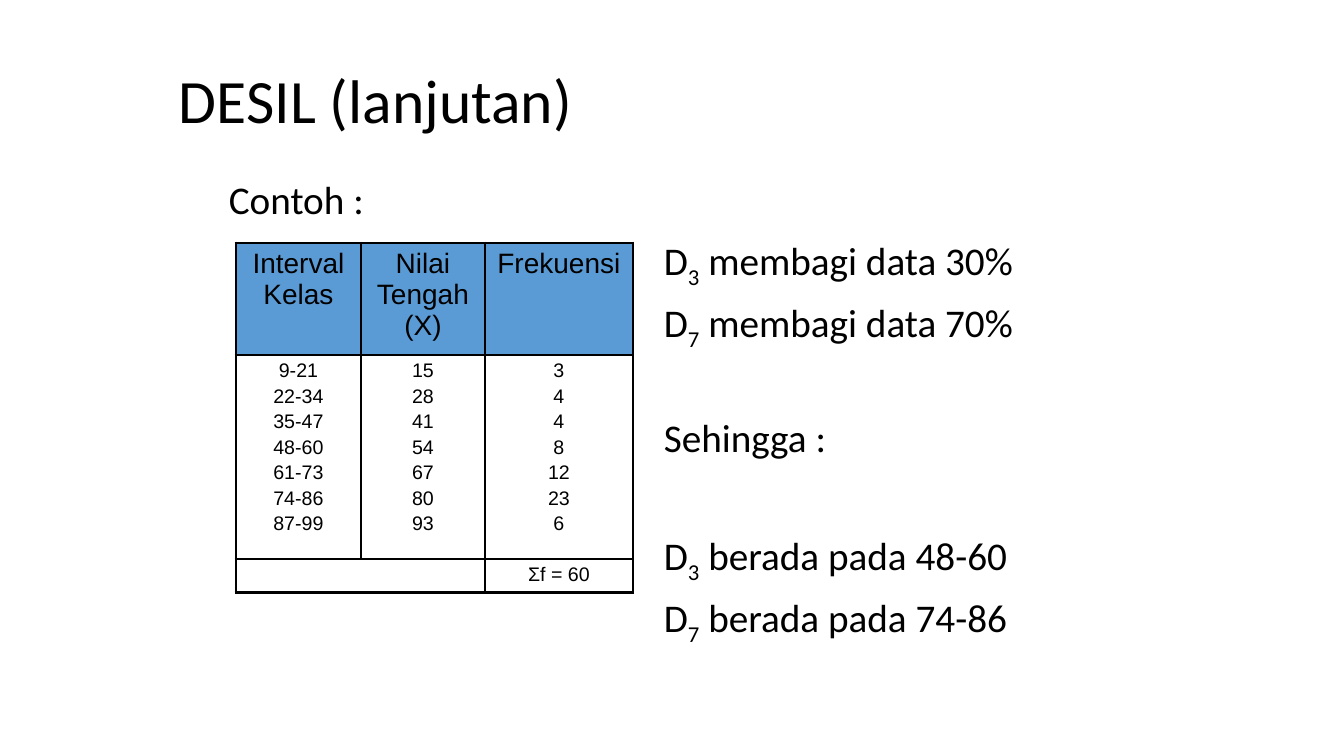
import pptx
import pptx.util
import pptx.dml.color
import pptx.enum.text
import pptx.oxml

EMU_PER_PX = 914400 / 100.8
COLORS = {"ink": "000000", "header": "5B9BD5"}
HEADINGS = ["Interval Kelas", "Nilai Tengah (X)", "Frekuensi"]
CLASSES = [
    ("9-21", 15, 3),
    ("22-34", 28, 4),
    ("35-47", 41, 4),
    ("48-60", 54, 8),
    ("61-73", 67, 12),
    ("74-86", 80, 23),
    ("87-99", 93, 6),
]
STATEMENTS = [
    (("D", "3", " membagi data 30%"), 10),
    (("D", "7", " membagi data 70%"), 10),
    (("Sehingga :",), 50.75),
    (("D", "3", " berada pada 48-60"), 50.75),
    (("D", "7", " berada pada 74-86"), 10),
]
COLUMN_WIDTHS = [125, 124, 148]
ROW_HEIGHTS = [112, 204, 33]
STATEMENT_INDENT = 435


def px(length):
    return pptx.util.Emu(round(length * EMU_PER_PX))


def rgb(name):
    return pptx.dml.color.RGBColor.from_string(COLORS[name])


def format_runs(para, size, font):
    for span in para.runs:
        span.font.size = pptx.util.Pt(size)
        span.font.name = font
        span.font.color.rgb = rgb("ink")


def add_box(page, left, top, width, height):
    box = page.shapes.add_textbox(px(left), px(top), px(width), px(height))
    box.text_frame.word_wrap = True
    return box.text_frame


def add_title(page, text):
    frame = add_box(page, 169, 23, 1145, 161)
    frame.vertical_anchor = pptx.enum.text.MSO_ANCHOR.MIDDLE
    frame.text = text
    para = frame.paragraphs[0]
    para.line_spacing = 0.9
    format_runs(para, 44, "Calibri")


def add_statement(frame, parts, space_before):
    para = frame.add_paragraph()
    para.line_spacing = 0.9
    para.space_before = pptx.util.Pt(space_before)
    para._p.get_or_add_pPr().set("marL", str(px(STATEMENT_INDENT)))
    for part in parts:
        para.add_run().text = part
    format_runs(para, 28, "Calibri")
    if len(parts) > 1:
        para.runs[1].font._element.set("baseline", "-25000")


def add_body(page):
    frame = add_box(page, 219, 176, 906, 499)
    frame.text = "Contoh :"
    frame.paragraphs[0].line_spacing = 0.9
    format_runs(frame.paragraphs[0], 28, "Calibri")
    for parts, space_before in STATEMENTS:
        add_statement(frame, parts, space_before)


def set_borders(cell, row, column):
    last_row, last_column = len(ROW_HEIGHTS) - 1, len(COLUMN_WIDTHS) - 1
    outer_edges = {
        "L": column == 0,
        "R": column == last_column,
        "T": row == 0,
        "B": row == last_row,
    }
    properties = cell._tc.get_or_add_tcPr()
    for position, (side, is_outer) in enumerate(outer_edges.items()):
        width = pptx.util.Pt(2.25 if is_outer else 1)
        line = pptx.oxml.parse_xml(
            '<a:ln%s xmlns:a="http://schemas.openxmlformats.org/drawingml/2006/main" w="%d">'
            '<a:solidFill><a:srgbClr val="%s"/></a:solidFill></a:ln%s>'
            % (side, width, COLORS["ink"], side)
        )
        properties.insert(position, line)


def fill_cell(cell, lines, size):
    cell.text = "\n".join(lines)
    for index, para in enumerate(cell.text_frame.paragraphs):
        para.alignment = pptx.enum.text.PP_ALIGN.CENTER
        if index:
            para.space_before = pptx.util.Pt(2.5)
        format_runs(para, size, "Arial")
        if not para.runs:
            para._p.get_or_add_endParaRPr().set("sz", str(size * 100))


def add_frequency_table(page):
    frame = page.shapes.add_table(
        len(ROW_HEIGHTS), len(COLUMN_WIDTHS), px(236), px(243),
        px(sum(COLUMN_WIDTHS)), px(sum(ROW_HEIGHTS)),
    )
    table = frame.table
    table.first_row = False
    table.horz_banding = False
    for column, width in zip(table.columns, COLUMN_WIDTHS):
        column.width = px(width)
    for row, height in zip(table.rows, ROW_HEIGHTS):
        row.height = px(height)

    total = sum(frequency for _, _, frequency in CLASSES)
    contents = [
        [[heading] for heading in HEADINGS],
        [[str(value) for value in values] for values in zip(*CLASSES)],
        [[""], [""], [f"Σf = {total}"]],
    ]
    for row, cells in enumerate(contents):
        for column, lines in enumerate(cells):
            cell = table.cell(row, column)
            fill_cell(cell, lines, 20 if row == 0 else 14)
            if row == 0:
                cell.fill.solid()
                cell.fill.fore_color.rgb = rgb("header")
            else:
                cell.fill.background()
            set_borders(cell, row, column)
    table.cell(2, 0).merge(table.cell(2, 1))


def main():
    deck = pptx.Presentation()
    deck.slide_width = px(1344)
    deck.slide_height = px(756)
    page = deck.slides.add_slide(deck.slide_layouts[6])
    add_title(page, "DESIL (lanjutan)")
    add_body(page)
    add_frequency_table(page)
    deck.save("out.pptx")


if __name__ == "__main__":
    main()
